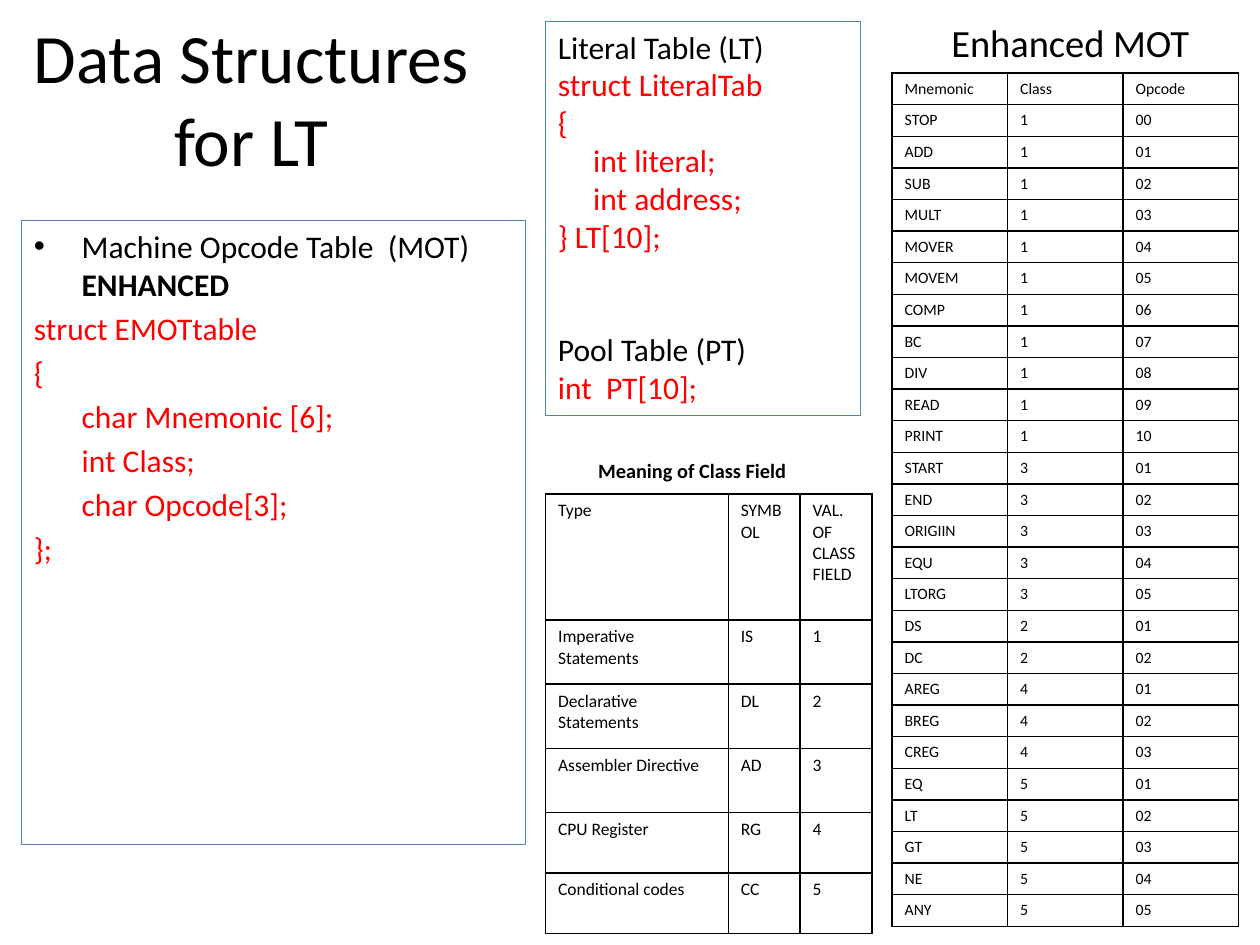
from lxml.etree import SubElement
from pptx import Presentation
from pptx.dml.color import RGBColor
from pptx.enum.shapes import MSO_SHAPE
from pptx.enum.text import MSO_ANCHOR, PP_ALIGN
from pptx.oxml.ns import qn
from pptx.util import Inches, Pt

BLACK = RGBColor(0x00, 0x00, 0x00)
RED = RGBColor(0xFF, 0x00, 0x00)
BLUE = RGBColor(0x4F, 0x81, 0xBD)
FONT = "Calibri"
BULLET_INDENT = 0.38
FIELD_INDENT = 0.28

# text, left, top, width, height, size, bold, line spacing
HEADINGS = [
    ("Data Structures for LT", 0.08, 0.17, 3.83, 1.2, 39.6, False, None),
    ("Enhanced MOT", 7.33, 0.17, 2.33, 0.33, 22, False, None),
    ("Meaning of Class Field", 4.58, 3.58, 1.83, 0.33, 11.6, True, 0.9),
]

# paragraphs: runs of (text, colour, bold), left indent, space before, bullet
MOT_STRUCT = [
    ([("Machine Opcode Table  (MOT) ", BLACK, False),
      ("ENHANCED", BLACK, True)], BULLET_INDENT, 3.6, True),
] + [
    ([(line, RED, False)], indent, 3.6, False)
    for line, indent in [
        ("struct EMOTtable", 0),
        ("{", 0),
        ("char Mnemonic [6];", BULLET_INDENT),
        ("int Class;", BULLET_INDENT),
        ("char Opcode[3];", BULLET_INDENT),
        ("};", 0),
    ]
]
LITERAL_STRUCT = [
    ([(line, colour, False)], indent, before, False)
    for line, colour, indent, before in [
        ("Literal Table (LT)", BLACK, 0, 0),
        ("struct LiteralTab", RED, 0, 0),
        ("{", RED, 0, 0),
        ("int literal;", RED, FIELD_INDENT, 0),
        ("int address;", RED, FIELD_INDENT, 0),
        ("} LT[10];", RED, 0, 0),
        ("Pool Table (PT)", BLACK, 0, 43.2),
        ("int  PT[10];", RED, 0, 0),
    ]
]

# mnemonics of a group share a class and are numbered from the first opcode
OPCODE_GROUPS = [
    (1, 0, "STOP ADD SUB MULT MOVER MOVEM COMP BC DIV READ PRINT"),
    (3, 1, "START END ORIGIIN EQU LTORG"),
    (2, 1, "DS DC"),
    (4, 1, "AREG BREG CREG"),
    (5, 1, "EQ LT GT NE ANY"),
]
OPCODE_ROWS = [("Mnemonic", "Class", "Opcode")] + [
    (mnemonic, str(class_number), f"{opcode:02d}")
    for class_number, first, mnemonics in OPCODE_GROUPS
    for opcode, mnemonic in enumerate(mnemonics.split(), first)
]
CLASS_ROWS = [
    ("Type", "SYMBOL", "VAL. OF CLASS FIELD"),
    ("Imperative Statements", "IS", "1"),
    ("Declarative Statements", "DL", "2"),
    ("Assembler Directive", "AD", "3"),
    ("CPU Register", "RG", "4"),
    ("Conditional codes", "CC", "5"),
]


def box(left, top, width, height):
    """Return a position and size in slide units."""
    return [Inches(value) for value in (left, top, width, height)]


def add_run(paragraph, text, size, colour=BLACK, bold=False):
    """Append one formatted run."""
    run = paragraph.add_run()
    run.text = text
    run.font.name = FONT
    run.font.size = Pt(size)
    run.font.bold = bold
    run.font.color.rgb = colour


def add_heading(slide, text, left, top, width, height, size, bold, spacing):
    """Add a centred heading."""
    frame = slide.shapes.add_textbox(*box(left, top, width, height)).text_frame
    frame.word_wrap = True
    frame.vertical_anchor = MSO_ANCHOR.MIDDLE
    paragraph = frame.paragraphs[0]
    paragraph.alignment = PP_ALIGN.CENTER
    if spacing:
        paragraph.line_spacing = spacing
    add_run(paragraph, text, size, bold=bold)


def add_code_panel(slide, position, paragraphs):
    """Add an outlined panel with indented code lines."""
    shape = slide.shapes.add_shape(MSO_SHAPE.RECTANGLE, *position)
    shape.shadow.inherit = False
    shape.fill.background()
    shape.line.color.rgb = BLUE
    shape.line.width = Pt(0.75)
    frame = shape.text_frame
    frame.word_wrap = True
    frame.vertical_anchor = MSO_ANCHOR.TOP
    for index, (runs, indent, before, bullet) in enumerate(paragraphs):
        paragraph = frame.add_paragraph() if index else frame.paragraphs[0]
        paragraph.alignment = PP_ALIGN.LEFT
        paragraph.space_before = Pt(before)
        properties = paragraph._p.get_or_add_pPr()
        properties.set("marL", str(Inches(indent)))
        properties.set("indent", str(-Inches(indent) if bullet else 0))
        if bullet:
            SubElement(properties, qn("a:buFont"), typeface="Arial")
            SubElement(properties, qn("a:buChar"), char="\u2022")
        for text, colour, bold in runs:
            add_run(paragraph, text, 18, colour, bold)


def add_borders(cell):
    """Draw a thin black line on all four sides of a cell."""
    properties = cell._tc.get_or_add_tcPr()
    for side in ("lnL", "lnR", "lnT", "lnB"):
        line = SubElement(properties, qn(f"a:{side}"), w=str(Pt(1)))
        fill = SubElement(line, qn("a:solidFill"))
        SubElement(fill, qn("a:srgbClr"), val=str(BLACK))


def add_grid(slide, left, top, widths, heights, rows, size):
    """Add a plain bordered table."""
    position = box(left, top, sum(widths), sum(heights))
    table = slide.shapes.add_table(len(rows), len(widths), *position).table
    table.first_row = False
    table.horz_banding = False
    for column, width in zip(table.columns, widths):
        column.width = Inches(width)
    for row, height, texts in zip(table.rows, heights, rows):
        row.height = Inches(height)
        for cell, text in zip(row.cells, texts):
            add_borders(cell)
            cell.fill.background()
            add_run(cell.text_frame.paragraphs[0], text, size)


presentation = Presentation()
presentation.slide_width = Inches(10)
presentation.slide_height = Inches(7.5)
slide = presentation.slides.add_slide(presentation.slide_layouts[6])

for heading in HEADINGS:
    add_heading(slide, *heading)
add_code_panel(slide, box(0.17, 1.75, 4, 4.95), MOT_STRUCT)
add_code_panel(slide, box(4.33, 0.17, 2.5, 3.13), LITERAL_STRUCT)
add_grid(slide, 7.08, 0.58, [2.75 / 3] * 3, [0.25] * len(OPCODE_ROWS),
         OPCODE_ROWS, 9)
add_grid(slide, 4.33, 3.92, [1.45, 0.57, 0.57],
         [1, 0.51, 0.51, 0.51, 0.48, 0.48], CLASS_ROWS, 10)

presentation.save("out.pptx")
